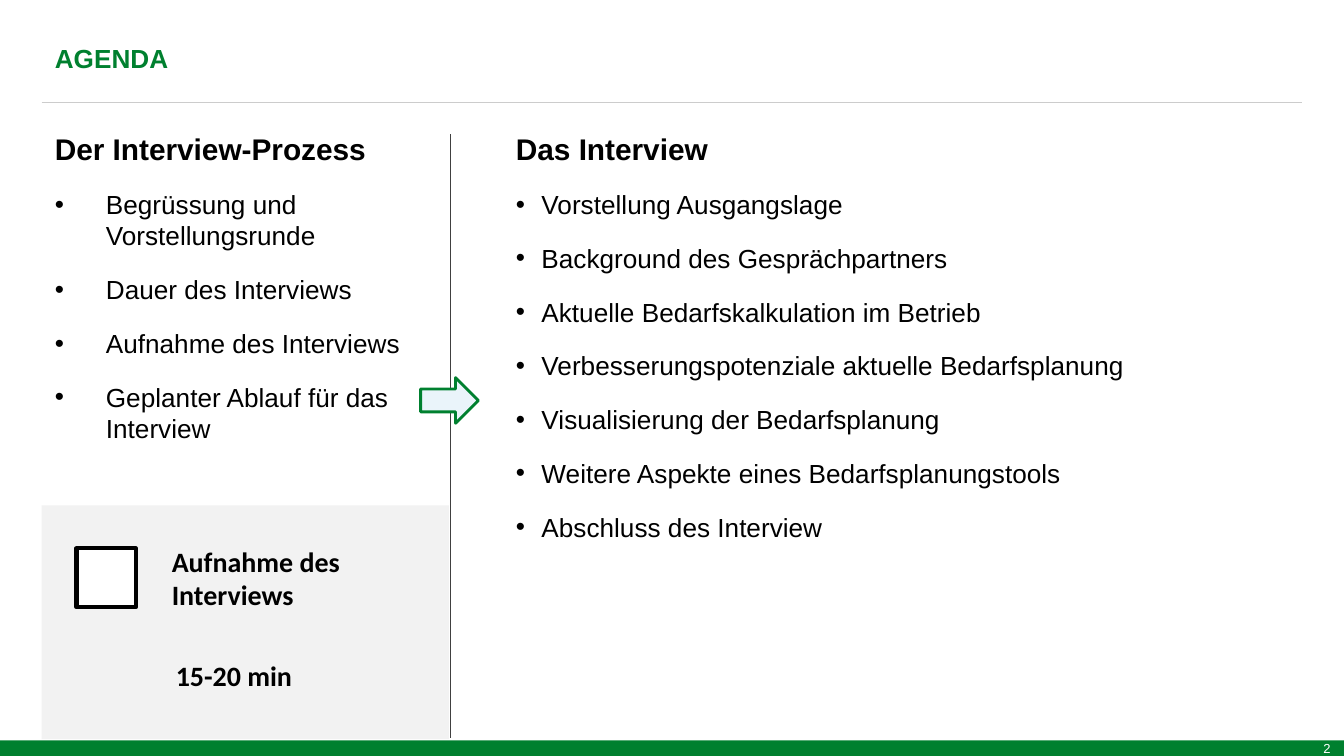
"""Builds an agenda slide with an interview process and its topics."""
from lxml import etree
from pptx import Presentation, util as u
from pptx.dml.color import RGBColor
from pptx.enum import shapes, text
from pptx.oxml.ns import qn

GREEN, BLACK, WHITE = "00802F", "000000", "FFFFFF"
WIDE = 10
HIGH = WIDE * 9 / 16
EDGE, TOP, MID, FOOT = 0.31, 0.92, 3.35, 5.49

LISTS = [
    (EDGE, 2.87, 2.83, 0.38, "Der Interview-Prozess", [
        "Begrüssung und Vorstellungsrunde",
        "Dauer des Interviews",
        "Aufnahme des Interviews",
        "Geplanter Ablauf für das Interview"]),
    (3.74, 5.95, 3.2, 0.19, "Das Interview", [
        "Vorstellung Ausgangslage",
        "Background des Gesprächpartners",
        "Aktuelle Bedarfskalkulation im Betrieb",
        "Verbesserungspotenziale aktuelle Bedarfsplanung",
        "Visualisierung der Bedarfsplanung",
        "Weitere Aspekte eines Bedarfsplanungstools",
        "Abschluss des Interview"]),
]
NOTES = [
    ("Aufnahme des Interviews", (1.18, 4, 1.77, 0.61)),
    ("15-20 min", (1.21, 4.85, 1.44, 0.35)),
]


def color(code):
    return RGBColor.from_string(code)


def inches(box):
    return [u.Inches(n) for n in box]


def write(para, words, size=14, font="Arial", ink=BLACK, bold=False,
          indent=0, after=0, align=text.PP_ALIGN.LEFT):
    para.alignment = align
    para.space_after = u.Pt(after)
    if indent:
        props = para._p.get_or_add_pPr()
        props.set("marL", str(u.Inches(indent)))
        props.set("indent", str(-u.Inches(indent)))
        etree.SubElement(props, qn("a:buFont")).set("typeface", "Arial")
        etree.SubElement(props, qn("a:buChar")).set("char", "•")
    run = para.add_run()
    run.text = words
    run.font.name, run.font.size, run.font.bold = font, u.Pt(size), bold
    run.font.color.rgb = color(ink)


def add_text(slide, box):
    frame = slide.shapes.add_textbox(*inches(box)).text_frame
    frame.word_wrap = True
    return frame


def add_form(slide, kind, box, fill, ink=None, width=1):
    form = slide.shapes.add_shape(kind, *inches(box))
    form.shadow.inherit = False
    form.fill.solid()
    form.fill.fore_color.rgb = color(fill)
    if ink:
        form.line.color.rgb = color(ink)
        form.line.width = u.Pt(width)
    else:
        form.line.fill.background()
    return form


def add_line(slide, ends, ink, width):
    line = slide.shapes.add_connector(shapes.MSO_CONNECTOR.STRAIGHT, *inches(ends))
    line.line.color.rgb = color(ink)
    line.line.width = u.Pt(width)
    etree.SubElement(line._element.spPr, qn("a:effectLst"))


def add_list(slide, left, width, height, indent, head, items):
    frame = add_text(slide, (left, TOP, width, height))
    write(frame.paragraphs[0], head, size=16, bold=True, after=12)
    for item in items:
        write(frame.add_paragraph(), item, indent=indent, after=12)


def main():
    deck = Presentation()
    deck.slide_width, deck.slide_height = inches((WIDE, HIGH))
    slide = deck.slides.add_slide(deck.slide_layouts[6])
    rect = shapes.MSO_SHAPE.RECTANGLE

    bar = add_form(slide, rect, (0, 5.51, WIDE, 0.12), GREEN).text_frame
    bar.margin_top = bar.margin_bottom = 0
    bar.vertical_anchor = text.MSO_ANCHOR.MIDDLE
    write(bar.paragraphs[0], "2", size=7, ink=WHITE, align=text.PP_ALIGN.RIGHT)

    add_line(slide, (EDGE, 0.76, WIDE - EDGE, 0.76), "CCCCCC", 0.5)
    add_form(slide, rect, (EDGE, 3.76, 3.03, 1.74), "F2F2F2")
    title = add_text(slide, (EDGE, 0.27, 7.87, 0.34))
    write(title.paragraphs[0], "AGENDA", ink=GREEN, bold=True)
    for part in LISTS:
        add_list(slide, *part)

    add_line(slide, (MID, 1, MID, FOOT), "404040", 0.5)
    add_form(slide, rect, (0.57, 4.08, 0.44, 0.44), WHITE, BLACK, 2.25)
    for words, box in NOTES:
        write(add_text(slide, box).paragraphs[0], words, size=15,
              font="Calibri", bold=True)
    add_form(slide, shapes.MSO_SHAPE.RIGHT_ARROW, (3.13, 2.81, 0.43, 0.34),
             "EAF4FA", GREEN, 1.5)
    deck.save("out.pptx")


if __name__ == "__main__":
    main()
